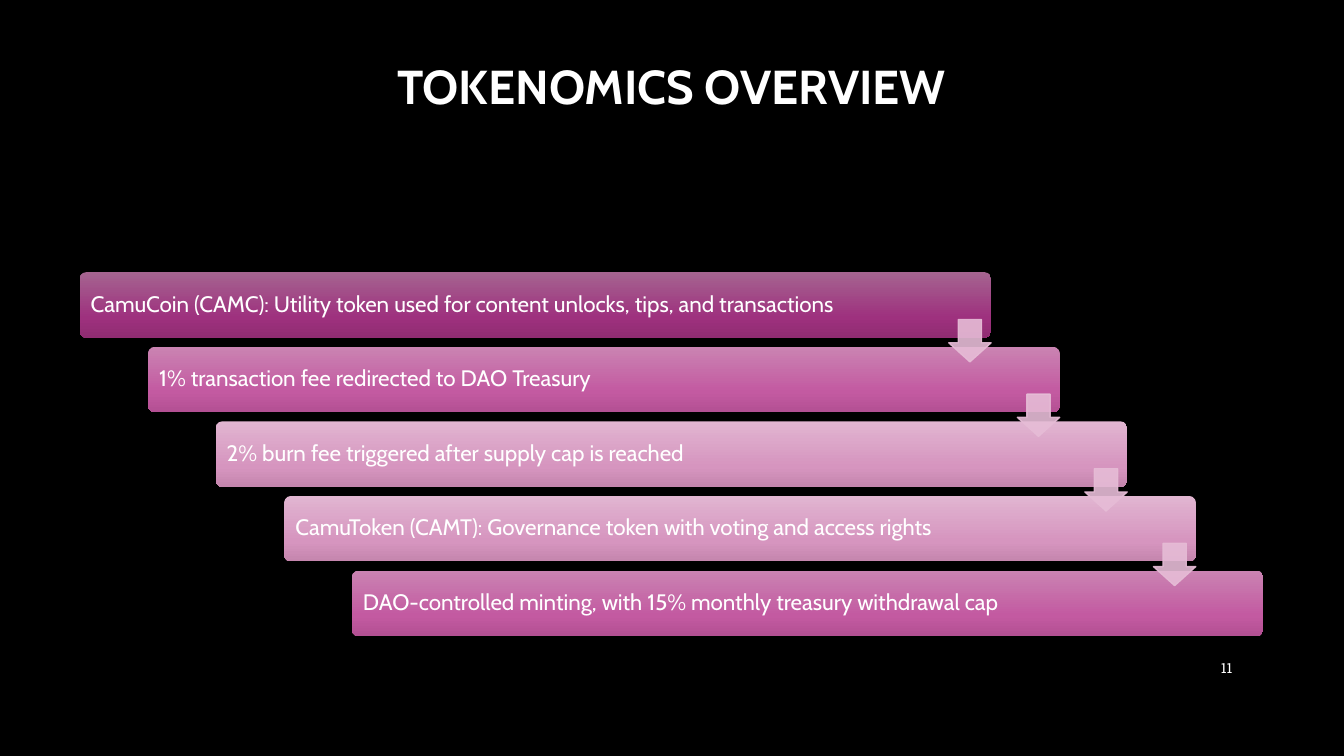
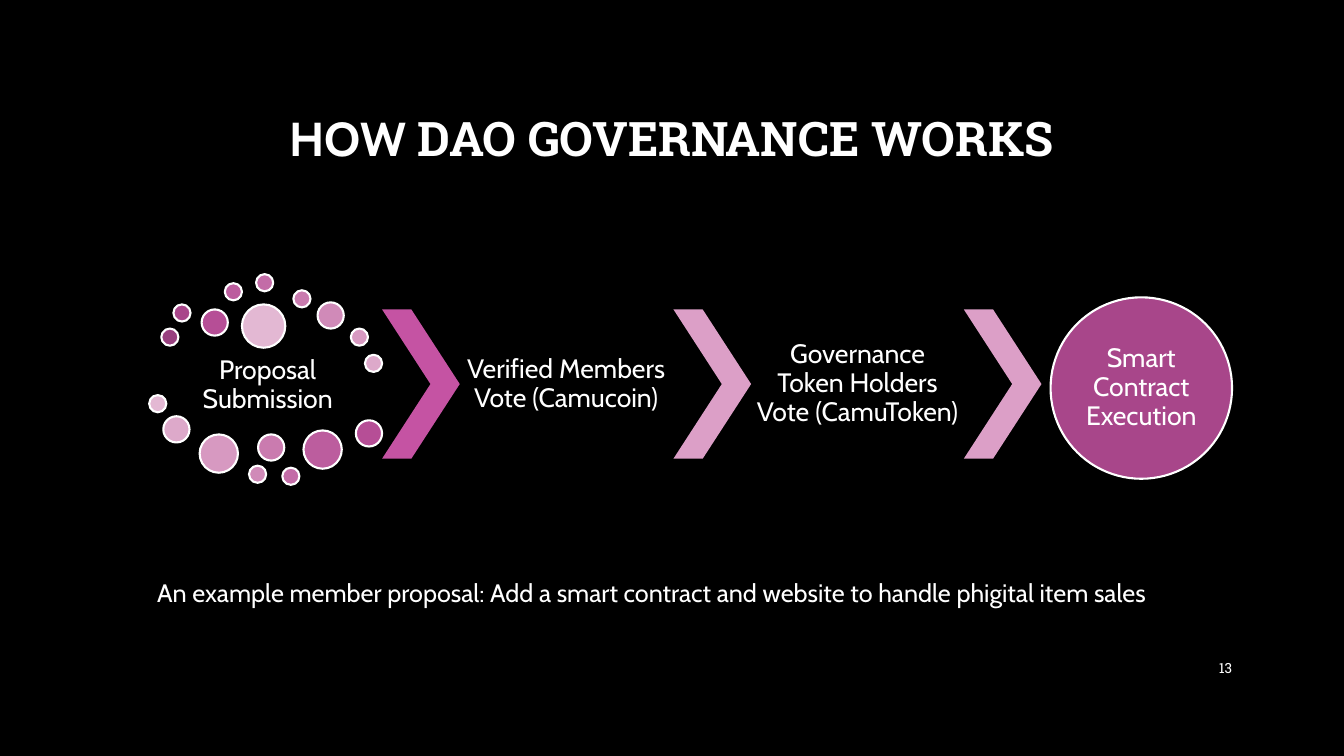
from copy import deepcopy

from pptx import Presentation
from pptx.dml.color import RGBColor
from pptx.enum.shapes import MSO_SHAPE
from pptx.enum.text import MSO_ANCHOR, PP_ALIGN
from pptx.oxml.ns import qn
from pptx.util import Pt

PX = 9144
LEFT, CENTER, RIGHT = PP_ALIGN.LEFT, PP_ALIGN.CENTER, PP_ALIGN.RIGHT
TOP, MIDDLE = MSO_ANCHOR.TOP, MSO_ANCHOR.MIDDLE
BAR, ARROW = MSO_SHAPE.ROUNDED_RECTANGLE, MSO_SHAPE.DOWN_ARROW
CIRCLE, CHEVRON = MSO_SHAPE.OVAL, MSO_SHAPE.CHEVRON
SANS, SLAB = "Cabin", "Roboto Slab"

COLORS = {
    "background": "000000",
    "white": "FFFFFF",
    "arrow": "E6BCD6",
    "dark_top": "A56490", "dark_mid": "9E317E", "dark_end": "902C72",
    "pink_top": "CA83B2", "pink_mid": "C35AA1", "pink_end": "B35093",
    "pale_top": "E1B5D1", "pale_mid": "D695BF", "pale_end": "C586AE",
    "chevron_pink": "C553A3", "chevron_pale": "DC9FC7",
    "tone0": "98407F", "tone1": "A8468A", "tone2": "B64E96",
    "tone3": "BC5D9E", "tone4": "C36CA7", "tone5": "CA7BAF",
    "tone6": "D08AB8", "tone7": "D799C1", "tone8": "DDA9CA",
    "tone9": "E3B8D3",
}

TOKEN_RULES = [
    ("CamuCoin (CAMC): Utility token used for content unlocks, tips, and transactions", "dark"),
    ("1% transaction fee redirected to DAO Treasury", "pink"),
    ("2% burn fee triggered after supply cap is reached", "pale"),
    ("CamuToken (CAMT): Governance token with voting and access rights", "pale"),
    ("DAO-controlled minting, with 15% monthly treasury withdrawal cap", "pink"),
]
VOTE_STEPS = ["Verified Members Vote (Camucoin)", "Governance Token Holders Vote (CamuToken)"]
UPPER_BUBBLES = [
    (160, 326, 17), (172, 302, 17), (200, 307, 26), (223, 281, 17), (254, 272, 17),
    (291, 288, 17), (315, 300, 26), (348, 326, 17), (362, 352, 17), (240, 302, 43),
]
LOWER_BUBBLES = [
    (148, 392, 17), (162, 413, 26), (198, 431, 38), (247, 462, 17),
    (256, 431, 26), (280, 464, 17), (301, 427, 38), (353, 417, 26),
]


def rgb(name):
    return RGBColor.from_string(COLORS[name])


def write_text(sp, runs, size, align=LEFT, anchor=MIDDLE, spacing=0.9,
               insets=(10, 5), bold=False, wrap=True):
    tf = sp.text_frame
    tf.word_wrap = wrap
    tf.vertical_anchor = anchor
    tf.margin_left = tf.margin_right = insets[0] * PX
    tf.margin_top = tf.margin_bottom = insets[1] * PX
    p = tf.paragraphs[0]
    p.alignment = align
    p.line_spacing = spacing
    for text, font in runs:
        r = p.add_run()
        r.text = text
        r.font.name = font
        r.font.size = Pt(size)
        r.font.bold = bold
        r.font.color.rgb = rgb("white")


def add_text(s, box, runs, size, **style):
    sp = s.shapes.add_textbox(*(v * PX for v in box))
    write_text(sp, runs, size, **style)


def add_preset(s, kind, box, fill=None, line=None, line_width=1.5, adjustments=()):
    sp = s.shapes.add_shape(kind, *(v * PX for v in box))
    sp.shadow.inherit = False
    for i, value in enumerate(adjustments):
        sp.adjustments[i] = value
    if fill:
        sp.fill.solid()
        sp.fill.fore_color.rgb = rgb(fill)
    if line:
        sp.line.color.rgb = rgb(line)
        sp.line.width = Pt(line_width)
    else:
        sp.line.fill.background()
    return sp


def set_gradient(sp, family):
    sp.fill.gradient()
    sp.fill.gradient_angle = 270
    stop_list = sp._element.spPr.find(".//" + qn("a:gsLst"))
    stop_list.append(deepcopy(stop_list[-1]))
    parts = [("top", 0), ("mid", 0.69), ("end", 1)]
    for stop, (part, position) in zip(sp.fill.gradient_stops, parts):
        stop.color.rgb = rgb(f"{family}_{part}")
        stop.position = position


def set_opacity(sp, percent):
    for color in sp._element.spPr.iter(qn("a:srgbClr")):
        alpha = color.makeelement(qn("a:alpha"), {"val": str(percent * 1000)})
        color.append(alpha)


def add_slide(prs, title_runs, title_top, number):
    s = prs.slides.add_slide(prs.slide_layouts[6])
    add_text(s, (100, title_top, 1132, 145), title_runs, 34, align=CENTER, bold=True)
    add_text(s, (1150, 643, 82, 40), [(number, SLAB)], 10, align=RIGHT, spacing=1)
    return s


def add_staircase(s):
    places = [(79 + (135 * i + 1) // 2, 270 + 74 * i) for i in range(len(TOKEN_RULES))]
    for (x, y), (text, family) in zip(places, TOKEN_RULES):
        sp = add_preset(s, BAR, (x, y, 904, 65), adjustments=[0.1])
        set_gradient(sp, family)
        write_text(sp, [(text, SANS)], 16, insets=(9, 9))
    for x, y in places[:-1]:
        sp = add_preset(s, ARROW, (x + 862, y + 47, 42, 42), "arrow", "arrow", 1, [0.55, 0.45])
        set_opacity(sp, 90)


def add_bubbles(s, bubbles, tones):
    for (x, y, size), tone in zip(bubbles, tones):
        add_preset(s, CIRCLE, (x, y, size, size), f"tone{tone}", "white")


def add_process(s):
    label = {"size": 19, "align": CENTER, "insets": (3, 3)}
    add_text(s, (160, 347, 211, 70), [("Proposal Submission", SANS)], **label)
    add_bubbles(s, UPPER_BUBBLES, range(10))
    add_bubbles(s, LOWER_BUBBLES, range(9, 1, -1))
    lefts = [379 + (577 * i + 1) // 2 for i in range(3)]
    for x, shade in zip(lefts, ["pink", "pale", "pale"]):
        add_preset(s, CHEVRON, (x, 307, 77, 148), f"chevron_{shade}", adjustments=[0.623])
    for x, text in zip(lefts, VOTE_STEPS):
        add_text(s, (x + 77, 307, 211, 148), [(text, SANS)], **label)
    sp = add_preset(s, CIRCLE, (1042, 295, 180, 180), "tone1", "white")
    write_text(sp, [("Smart Contract Execution", SANS)], 19, align=CENTER, insets=(0, 0))


def main():
    prs = Presentation()
    prs.slide_width, prs.slide_height = 1333 * PX, 750 * PX
    fill = prs.slide_master.background.fill
    fill.solid()
    fill.fore_color.rgb = rgb("background")

    s = add_slide(prs, [("TOKENOMICS OVERVIEW", SANS)], 16, "11")
    add_staircase(s)

    s = add_slide(prs, [("HOW", SANS), (" DAO GOVERNANCE WORKS", SLAB)], 67, "13")
    add_process(s)
    example = "An example member proposal: Add a smart contract and website to handle phigital item sales"
    add_text(s, (146, 568, 1106, 40), [(example, SANS)], 18, anchor=TOP, spacing=1, wrap=False)
    prs.save("out.pptx")


if __name__ == "__main__":
    main()
